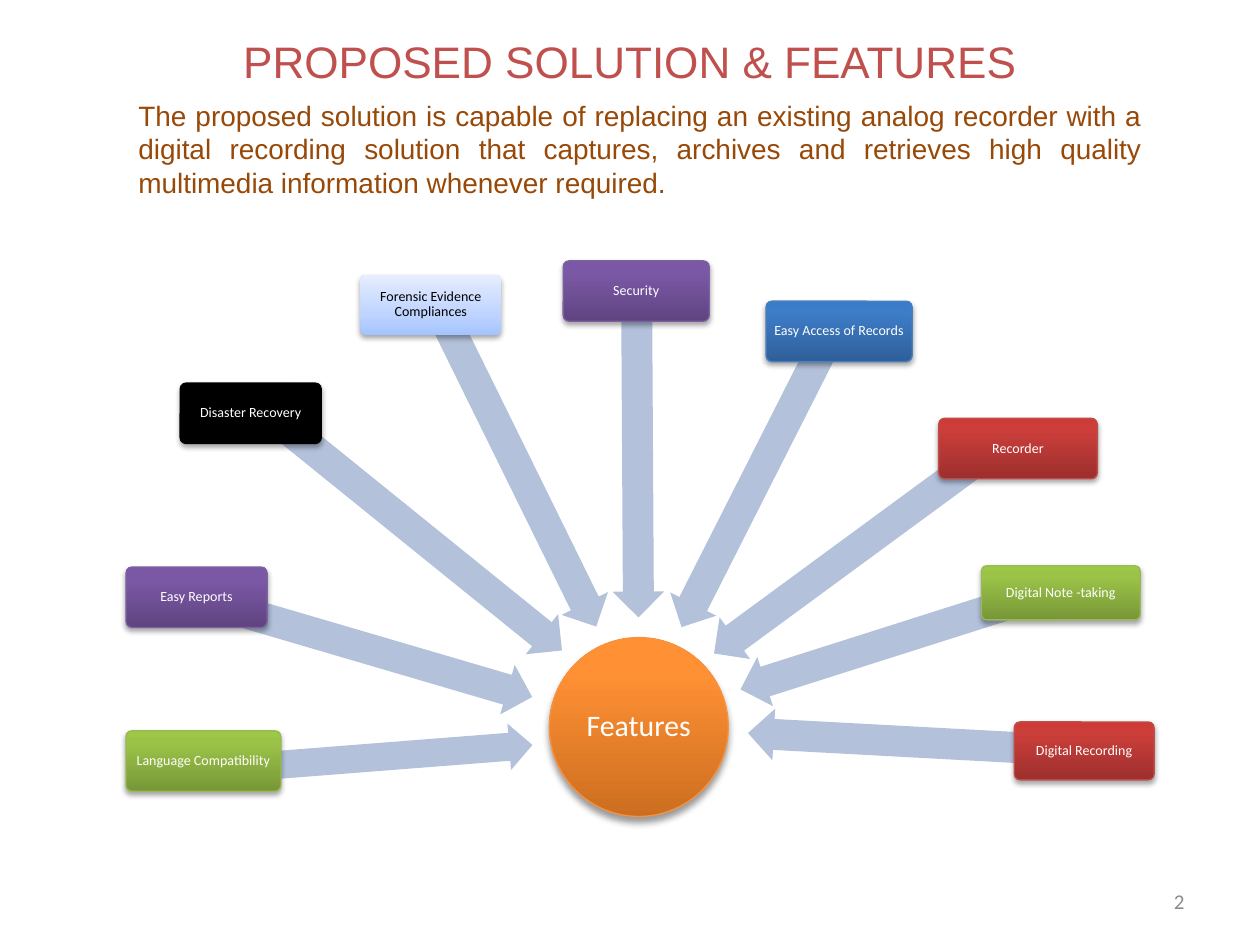
"""Build a slide of product features pointing at a central hub."""
import copy
import math

import pptx
import pptx.dml.color
import pptx.enum.shapes
import pptx.enum.text
import pptx.oxml
import pptx.oxml.ns
import pptx.util

Inches = pptx.util.Inches
Pt = pptx.util.Pt
RGBColor = pptx.dml.color.RGBColor
Shapes = pptx.enum.shapes.MSO_SHAPE
Align = pptx.enum.text.PP_ALIGN
Anchor = pptx.enum.text.MSO_ANCHOR

WHITE = RGBColor(0xFF, 0xFF, 0xFF)
BLACK = RGBColor(0x00, 0x00, 0x00)
GRAY = RGBColor(0x8C, 0x8C, 0x8C)
TITLE_RED = RGBColor(0xC0, 0x50, 0x4D)
BROWN = RGBColor(0x98, 0x48, 0x07)
ARROW_BLUE = RGBColor(0xB3, 0xC1, 0xDB)


def make_palette(stops, line, text=WHITE):
    """Return a palette from (position, hex) stops, a line hex and a text colour."""
    colors = [(position, RGBColor.from_string(color)) for position, color in stops]
    return colors, line and RGBColor.from_string(line), text


ORANGE = make_palette([(0, "CC6E20"), (0.8, "FF9034"), (1, "FF9136")], "F69240")
GREEN = make_palette([(0, "779737"), (0.8, "9BC348"), (1, "9DC746")], "98B955")
PURPLE = make_palette([(0, "5F4480"), (0.8, "7B58A6"), (1, "7C57A8")], "7D60A0")
BLUE = make_palette([(0, "2F5F99"), (0.8, "3D7CC7"), (1, "3A7CCB")], "4B7EBC")
RED = make_palette([(0, "9C2F2D"), (0.8, "CB3E3A"), (1, "CE3B37")], "BF4C48")
PALE = make_palette([(0, "A4C4FF"), (0.35, "BFD4FF"), (1, "E6EEFF")], None, BLACK)
SOLID_BLACK = make_palette([(0, "000000")], "000000")

HUB_BOX = (4.36, 5.06, 1.42, 1.42)

FEATURES = [
    ("Language Compatibility", GREEN, (1, 5.8, 1.23, 0.48), (2.85, 6.02), (2.76, 0.37)),
    ("Easy Reports", PURPLE, (1, 4.5, 1.12, 0.48), (2.89, 5.14), (2.78, 0.41)),
    ("Disaster Recovery", SOLID_BLACK, (1.43, 3.04, 1.12, 0.48), (3.27, 4.2), (3.06, 0.41)),
    ("Forensic Evidence Compliances", PALE, (2.86, 2.18, 1.12, 0.48), (4.1, 3.69), (2.86, 0.41)),
    ("Security", PURPLE, (4.47, 2.07, 1.16, 0.48), (5.06, 3.6), (2.6, 0.41)),
    ("Easy Access of Records", BLUE, (6.08, 2.39, 1.16, 0.48), (6.01, 3.79), (2.66, 0.41)),
    ("Recorder", RED, (7.45, 3.32, 1.26, 0.48), (6.82, 4.34), (2.86, 0.41)),
    ("Digital Note -taking", GREEN, (7.79, 4.49, 1.26, 0.43), (7.14, 5.07), (2.65, 0.41)),
    ("Digital Recording", RED, (8.05, 5.73, 1.11, 0.46), (7.27, 5.89), (2.67, 0.41)),
]


def box_center(box):
    """Return the centre of a left, top, width, height box."""
    left, top, width, height = box
    return left + width / 2, top + height / 2


def place(shape, box):
    """Move and size a shape to a box given in inches."""
    shape.left, shape.top, shape.width, shape.height = (Inches(value) for value in box)


def write_text(shape, text, size, color, font="Calibri", align=Align.CENTER,
               anchor=Anchor.MIDDLE, spacing=None, inset=None):
    """Write one formatted paragraph into a shape."""
    frame = shape.text_frame
    frame.word_wrap = True
    frame.vertical_anchor = anchor
    if inset is not None:
        frame.margin_left = frame.margin_right = Inches(inset)
        frame.margin_top = frame.margin_bottom = Inches(inset)
    paragraph = frame.paragraphs[0]
    paragraph.alignment = align
    paragraph.line_spacing = spacing
    run = paragraph.add_run()
    run.text = text
    run.font.size = Pt(size)
    run.font.name = font
    run.font.color.rgb = color


def add_text_box(slide, box, text, **text_format):
    """Add a text box with formatted text."""
    shape = slide.shapes.add_textbox(*(Inches(value) for value in box))
    write_text(shape, text, **text_format)


def fill_shape(shape, stops):
    """Fill a shape with one colour or an upward three-stop gradient."""
    if len(stops) == 1:
        shape.fill.solid()
        shape.fill.fore_color.rgb = stops[0][1]
        return
    shape.fill.gradient()
    shape.fill.gradient_angle = 90
    stop_list = shape.element.spPr.find(".//" + pptx.oxml.ns.qn("a:gsLst"))
    stop_list.insert(1, copy.deepcopy(stop_list[0]))
    for stop, (position, color) in zip(shape.fill.gradient_stops, stops):
        stop.position = position
        stop.color.rgb = color


def add_shadow(shape, opacity, blur, distance):
    """Give a shape a soft black shadow straight below it."""
    shape.shadow.inherit = False
    effects = shape.element.spPr.find(pptx.oxml.ns.qn("a:effectLst"))
    effects.append(pptx.oxml.parse_xml(
        f'<a:outerShdw {pptx.oxml.ns.nsdecls("a")} blurRad="{Pt(blur)}" '
        f'dist="{Pt(distance)}" dir="5400000" rotWithShape="0">'
        f'<a:srgbClr val="000000"><a:alpha val="{opacity * 1000}"/></a:srgbClr>'
        '</a:outerShdw>'))


def add_node(slide, kind, box, text, palette, size, inset, shadow):
    """Add a filled, shadowed and labelled shape."""
    stops, line, text_color = palette
    shape = slide.shapes.add_shape(kind, *(Inches(value) for value in box))
    fill_shape(shape, stops)
    if line is None:
        shape.line.fill.background()
    else:
        shape.line.color.rgb = line
        shape.line.width = Pt(0.75)
    add_shadow(shape, *shadow)
    write_text(shape, text, size, text_color, spacing=0.9, inset=inset)
    return shape


def add_arrow(slide, center, size, box):
    """Add a block arrow parallel to the line from a feature box to the hub."""
    hub_x, hub_y = box_center(HUB_BOX)
    box_x, box_y = box_center(box)
    width, height = size
    shape = slide.shapes.add_shape(
        Shapes.LEFT_ARROW, Inches(center[0] - width / 2), Inches(center[1] - height / 2),
        Inches(width), Inches(height))
    shape.adjustments[0] = 0.6
    shape.adjustments[1] = 0.5
    shape.rotation = math.degrees(math.atan2(box_y - hub_y, box_x - hub_x)) % 360
    shape.fill.solid()
    shape.fill.fore_color.rgb = ARROW_BLUE
    shape.line.fill.background()
    shape.shadow.inherit = False


def add_feature(slide, text, palette, box, arrow_center, arrow_size):
    """Add a feature box on top of its arrow."""
    add_arrow(slide, arrow_center, arrow_size, box)
    shape = add_node(slide, Shapes.ROUNDED_RECTANGLE, box, text, palette,
                     size=8, inset=0.03, shadow=(35, 3.1, 1.8))
    shape.adjustments[0] = 0.1


def main():
    """Build and save the presentation."""
    presentation = pptx.Presentation()
    presentation.slide_width = Inches(10)
    presentation.slide_height = Inches(7.5)
    slide = presentation.slides.add_slide(presentation.slide_layouts[5])
    title = slide.shapes.title
    place(title, (0.5, 0.22, 9, 0.52))
    write_text(title, "PROPOSED SOLUTION & FEATURES", 25.2, TITLE_RED, font="Arial")
    add_text_box(slide, (7.17, 6.95, 2.33, 0.4), "2", size=12, color=GRAY, align=Align.RIGHT)
    add_text_box(
        slide, (1, 0.73, 8.16, 0.91),
        "The proposed solution is capable of replacing an existing analog recorder with a "
        "digital recording solution that captures, archives and retrieves high quality "
        "multimedia information whenever required.",
        size=16, color=BROWN, font="Arial", align=Align.JUSTIFY, anchor=Anchor.TOP)
    add_node(slide, Shapes.OVAL, HUB_BOX, "Features", ORANGE,
             size=17, inset=0.02, shadow=(40, 4, 3))
    for feature in FEATURES:
        add_feature(slide, *feature)
    presentation.save("out.pptx")


if __name__ == "__main__":
    main()
